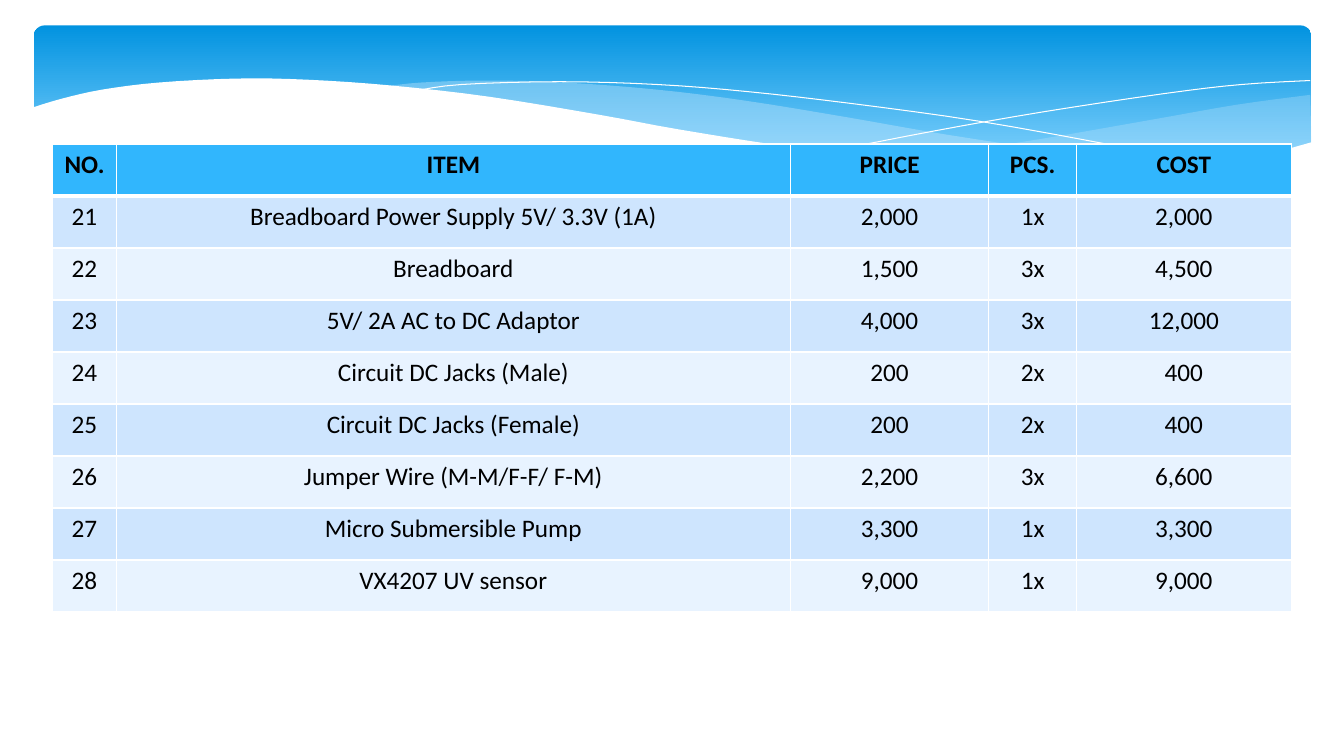
from dataclasses import dataclass

from lxml.etree import SubElement
from pptx import Presentation
from pptx.dml.color import RGBColor
from pptx.enum.shapes import MSO_SHAPE as Preset
from pptx.enum.text import PP_ALIGN as Align
from pptx.oxml.ns import qn
from pptx.util import Cm, Pt

Point = tuple[float, float]
Stroke = list[Point]

WHITE = "FFFFFF"
HEADER_FILL = "31B6FD"
BAND_FILLS = ("CEE5FE", "E8F3FF")
COLUMN_WIDTHS = (1.6, 16.99, 5, 2.21, 5.41)
ROW_HEIGHT = 1.31


@dataclass
class Wave:
    strokes: list[Stroke]
    fill: str | None = None
    opacity: int = 100


@dataclass
class Part:
    number: str
    item: str
    price: str
    pieces: str
    cost: str


WAVES = [
    Wave([
        [(33.02, 2.39), (31.17, 2.64), (29.13, 3), (26.37, 3.48), (23.9, 3.86), (22.4, 4.06)],
        [(22.4, 4.06), (24.33, 4.24), (26.44, 4.37), (28.27, 4.37), (29.82, 4.24),
         (31.45, 4.01), (33.05, 3.61)],
    ], "C6E7FC", 29),
    Wave([
        [(30.23, 4.24), (27.33, 3.91), (23.9, 3.4), (21.31, 2.95), (18.8, 2.54),
         (16.56, 2.26), (14.22, 2.08), (12.24, 2.03), (10.62, 2.08), (9.7, 2.18)],
        [(9.7, 2.18), (11.58, 2.39), (13.69, 2.69), (15.21, 2.95), (17.93, 3.43),
         (20.93, 3.89), (23.52, 4.19), (25.76, 4.34), (27.69, 4.39), (29.03, 4.34),
         (30.23, 4.24)],
    ], "C6E7FC", 40),
    Wave([
        [(10.46, 2.29), (11.63, 2.13), (14.1, 2.06), (16.56, 2.13), (18.85, 2.31),
         (21.54, 2.62), (24.64, 3.05), (28.14, 3.68), (30.73, 4.22)],
    ]),
    Wave([
        [(20.78, 3.84), (23.55, 3.3), (26.29, 2.82), (29.34, 2.36), (31.29, 2.13),
         (33.02, 2.03)],
    ]),
    Wave([
        [(33.07, 3.58), (31.85, 3.91), (30.43, 4.17), (28.8, 4.32), (27.38, 4.34),
         (25.2, 4.27), (22.63, 4.06), (19.61, 3.66), (17.04, 3.25), (15.14, 2.9),
         (12.34, 2.44), (9.91, 2.16), (7.77, 2.01), (5.97, 1.98), (4.01, 2.08),
         (2.57, 2.26), (1.55, 2.49), (0.79, 2.72)],
        [(0.79, 5.69), (33.07, 5.69)],
    ], WHITE),
]

HEADER = Part("NO.", "ITEM", "PRICE", "PCS.", "COST")
PARTS = [
    Part("21", "Breadboard Power Supply 5V/ 3.3V (1A)", "2,000", "1x", "2,000"),
    Part("22", "Breadboard", "1,500", "3x", "4,500"),
    Part("23", "5V/ 2A AC to DC Adaptor", "4,000", "3x", "12,000"),
    Part("24", "Circuit DC Jacks (Male)", "200", "2x", "400"),
    Part("25", "Circuit DC Jacks (Female)", "200", "2x", "400"),
    Part("26", "Jumper Wire (M-M/F-F/ F-M)", "2,200", "3x", "6,600"),
    Part("27", "Micro Submersible Pump", "3,300", "1x", "3,300"),
    Part("28", "VX4207 UV sensor", "9,000", "1x", "9,000"),
]


def color(value: str) -> RGBColor:
    return RGBColor.from_string(value)


def smooth(stroke: Stroke, steps: int = 4) -> Stroke:
    padded = [stroke[0], *stroke, stroke[-1]]
    curve = [stroke[0]]
    for before, start, end, after in zip(padded, padded[1:], padded[2:], padded[3:]):
        for step in range(1, steps + 1):
            t = step / steps
            curve.append(tuple(
                (2 * b + (c - a) * t + (2 * a - 5 * b + 4 * c - d) * t**2
                 + (3 * b - a - 3 * c + d) * t**3) / 2
                for a, b, c, d in zip(before, start, end, after)
            ))
    return curve


def draw_banner(slide) -> None:
    banner = slide.shapes.add_shape(
        Preset.ROUNDED_RECTANGLE, Cm(0.85), Cm(0.64), Cm(32.2), Cm(3.96))
    banner.adjustments[0] = 0.07
    banner.shadow.inherit = False
    banner.line.fill.background()
    banner.fill.gradient()
    banner.fill.gradient_angle = 270
    stops = ((0, "0293E0"), (0.9, "83D3FE"))
    for stop, (position, tint) in zip(banner.fill.gradient_stops, stops):
        stop.position = position
        stop.color.rgb = color(tint)


def draw_wave(slide, wave: Wave) -> None:
    points = [(Cm(x), Cm(y)) for stroke in wave.strokes for x, y in smooth(stroke)]
    builder = slide.shapes.build_freeform(*points[0])
    builder.add_line_segments(points[1:], close=wave.fill is not None)
    outline = builder.convert_to_shape()
    outline.shadow.inherit = False
    if wave.fill is None:
        outline.fill.background()
        outline.line.color.rgb = color(WHITE)
        outline.line.width = Pt(0)
        return
    outline.line.fill.background()
    outline.fill.solid()
    outline.fill.fore_color.rgb = color(wave.fill)
    if wave.opacity < 100:
        tint = outline.fill._xPr.find(f"{qn('a:solidFill')}/{qn('a:srgbClr')}")
        SubElement(tint, qn("a:alpha"), val=str(wave.opacity * 1000))


def write_text(frame, text: str, *, size: float = 18, bold: bool = False,
               font: str = "Calibri", tint: str = "000000") -> None:
    paragraph = frame.paragraphs[0]
    paragraph.alignment = Align.CENTER
    run = paragraph.add_run()
    run.text = text
    run.font.size = Pt(size)
    run.font.bold = bold
    run.font.name = font
    run.font.color.rgb = color(tint)


def set_borders(cell, top: int, bottom: int) -> None:
    properties = cell._tc.get_or_add_tcPr()
    for side, width in (("L", 1), ("R", 1), ("T", top), ("B", bottom)):
        border = SubElement(properties, qn(f"a:ln{side}"), w=str(Pt(width)))
        SubElement(SubElement(border, qn("a:solidFill")), qn("a:srgbClr"), val=WHITE)


def draw_parts_table(slide) -> None:
    entries = [HEADER, *PARTS]
    table = slide.shapes.add_table(
        len(entries), len(COLUMN_WIDTHS), Cm(1.33), Cm(3.63),
        Cm(sum(COLUMN_WIDTHS)), Cm(ROW_HEIGHT * len(entries))).table
    for column, width in zip(table.columns, COLUMN_WIDTHS):
        column.width = Cm(width)
    for index, (row, entry) in enumerate(zip(table.rows, entries)):
        row.height = Cm(ROW_HEIGHT)
        is_header = index == 0
        fill = HEADER_FILL if is_header else BAND_FILLS[(index - 1) % 2]
        values = (entry.number, entry.item, entry.price, entry.pieces, entry.cost)
        for cell, value in zip(row.cells, values):
            set_borders(cell, top=3 if index == 1 else 1, bottom=3 if is_header else 1)
            cell.fill.solid()
            cell.fill.fore_color.rgb = color(fill)
            write_text(cell.text_frame, value, bold=is_header)


def main() -> None:
    deck = Presentation()
    deck.slide_width, deck.slide_height = Cm(33.87), Cm(19.05)
    slide = deck.slides.add_slide(deck.slide_layouts[6])
    draw_banner(slide)
    for wave in WAVES:
        draw_wave(slide, wave)
    draw_parts_table(slide)
    deck.save("out.pptx")


if __name__ == "__main__":
    main()
